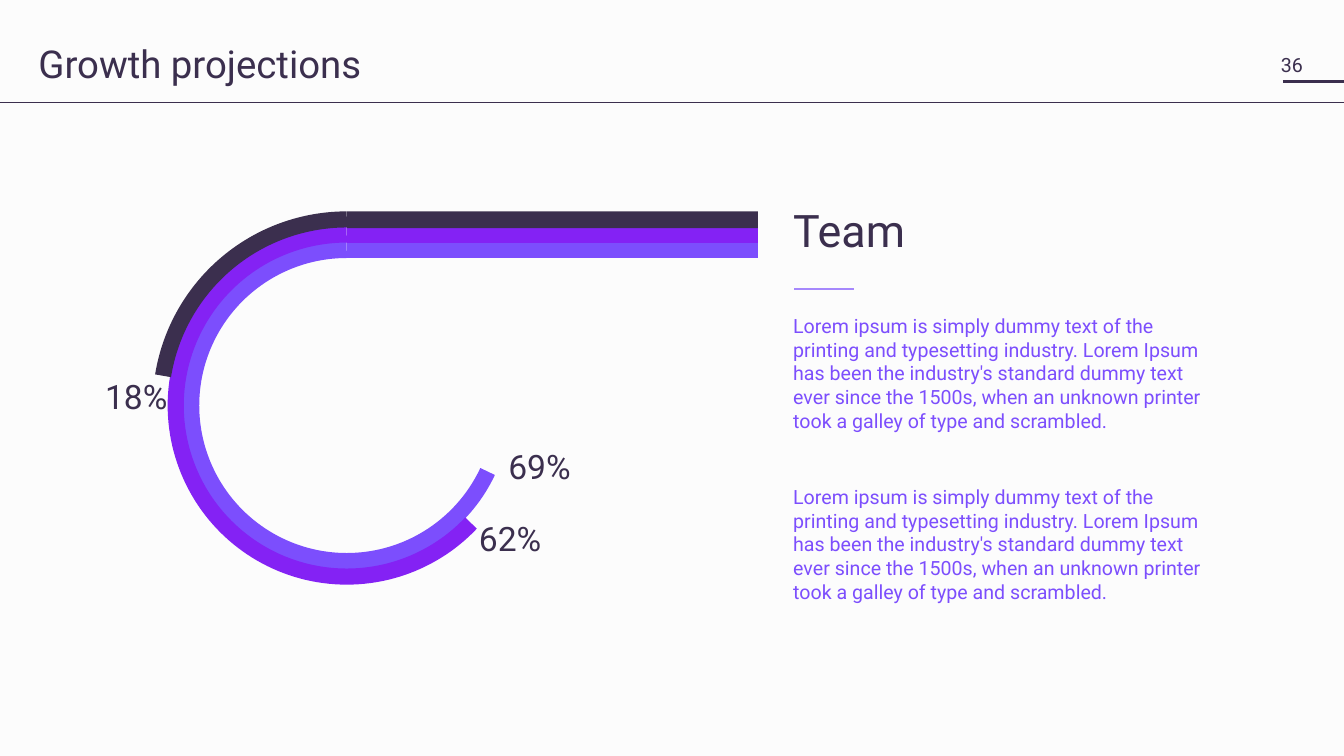
from pptx import Presentation, util as u
from pptx.dml.color import RGBColor
from pptx.enum import shapes, text
from pptx.oxml.ns import qn
from lxml import etree

DARK, PURPLE, VIOLET, PALE = "3B2F4E", "8422F4", "7C4EFD", "A688FC"
Cm = u.Cm


def rgb(value):
    return RGBColor.from_string(value)


def write(sp, paragraphs, size, color, spacing=1.0, inset=0.13, wrap=True,
          anchor=text.MSO_ANCHOR.TOP, gap=0):
    tf = sp.text_frame
    tf.word_wrap = wrap
    tf.auto_size = text.MSO_AUTO_SIZE.NONE
    tf.vertical_anchor = anchor
    tf.margin_left = tf.margin_right = tf.margin_top = tf.margin_bottom = Cm(inset)
    tf.text = "\n".join(paragraphs)
    for i, p in enumerate(tf.paragraphs):
        p.alignment = text.PP_ALIGN.LEFT
        p.line_spacing = spacing
        p.space_before = u.Pt(gap if i else 0)
        for r in p.runs:
            r.font.name = "Roboto"
            r.font.size = u.Pt(size)
            r.font.color.rgb = rgb(color)


prs = Presentation()
prs.slide_width, prs.slide_height = Cm(33.87), Cm(19.05)
s = prs.slides.add_slide(prs.slide_layouts[5])
s.background.fill.solid()
s.background.fill.fore_color.rgb = rgb("FCFCFC")

# Title
title = s.shapes.title
title.left, title.top, title.width, title.height = Cm(0.84), Cm(1.14), Cm(29.03), Cm(1.37)
write(title, ["Growth projections"], 27.4, DARK, spacing=0.75)

# Rules: page number, header, team heading
for x1, x2, y, color, weight in [(32.33, 33.87, 2.05, DARK, 2),
                                 (0, 33.87, 2.58, DARK, 0.5),
                                 (20.02, 21.52, 7.28, PALE, 1)]:
    rule = s.shapes.add_connector(shapes.MSO_CONNECTOR.STRAIGHT, Cm(x1), Cm(y), Cm(x2), Cm(y))
    rule.line.color.rgb = rgb(color)
    rule.line.width = u.Pt(weight)
    etree.SubElement(rule._element.spPr, qn("a:effectLst"))

# Page number
number = s.shapes.add_textbox(Cm(32.1), Cm(1.17), Cm(0.92), Cm(0.94))
write(number, ["36"], 14, DARK, inset=0.18, wrap=False, anchor=text.MSO_ANCHOR.MIDDLE)

# Growth tracks: an arc ending at an angle clockwise from 3 o'clock, and a bar
center_x, center_y = 8.74, 10.22
for color, radius, end_angle, bar_top, bar_height in [
        (VIOLET, 3.92, 25.1, 6.12, 0.38),
        (PURPLE, 4.31, 43.4, 5.74, 0.38),
        (DARK, 4.69, 189.2, 5.33, 0.42)]:
    arc = s.shapes.add_shape(shapes.MSO_SHAPE.ARC, Cm(center_x - radius), Cm(center_y - radius),
                             Cm(2 * radius), Cm(2 * radius))
    arc.adjustments[0] = end_angle * 0.6
    arc.adjustments[1] = 270 * 0.6
    arc.fill.background()
    arc.line.color.rgb = rgb(color)
    arc.line.width = u.Pt(11.5)
    arc.shadow.inherit = False

    bar = s.shapes.add_shape(shapes.MSO_SHAPE.RECTANGLE, Cm(center_x), Cm(bar_top),
                             Cm(10.36), Cm(bar_height))
    bar.fill.solid()
    bar.fill.fore_color.rgb = rgb(color)
    bar.line.fill.background()
    bar.shadow.inherit = False

# Track percentages
for label, x, y in [("18%", 2.52, 9.55), ("62%", 11.94, 13.11), ("69%", 12.68, 11.3)]:
    percent = s.shapes.add_textbox(Cm(x), Cm(y), Cm(1.85), Cm(1.24))
    write(percent, [label], 24, DARK, spacing=0.8, wrap=False)

# Team text
heading = s.shapes.add_textbox(Cm(19.86), Cm(5.13), Cm(10.54), Cm(1.6))
write(heading, ["Team"], 32, DARK, spacing=0.9)
lorem = ("Lorem ipsum is simply dummy text of the printing and typesetting industry. "
         "Lorem Ipsum has been the industry's standard dummy text ever since the 1500s, "
         "when an unknown printer took a galley of type and scrambled.")
body = s.shapes.add_textbox(Cm(19.86), Cm(7.77), Cm(10.54), Cm(7.62))
write(body, [lorem] * 2, 14, VIOLET, spacing=u.Pt(17), gap=37)

prs.save("out.pptx")
